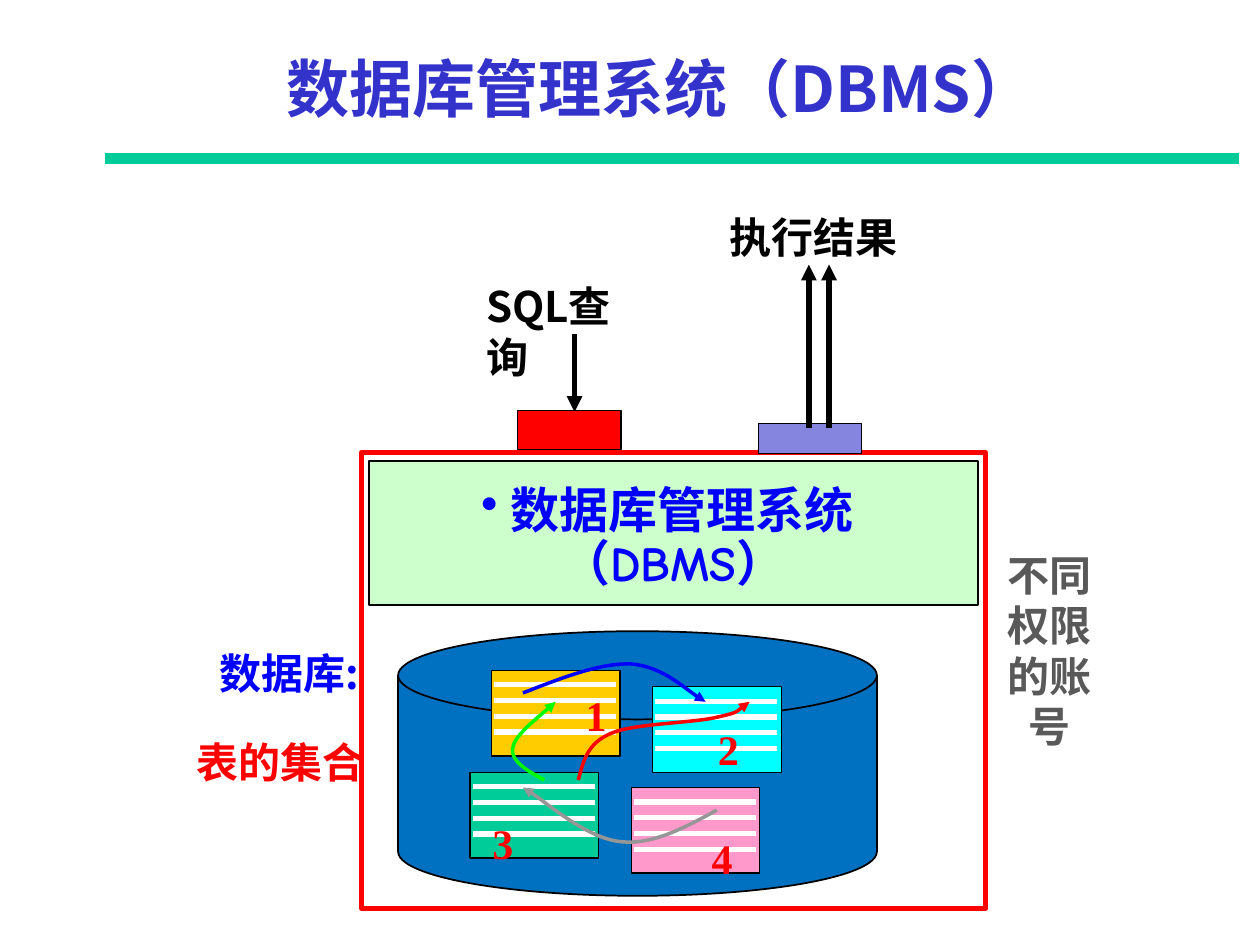
from dataclasses import dataclass

from lxml import etree
from pptx import Presentation
from pptx.dml.color import RGBColor
from pptx.enum.shapes import MSO_CONNECTOR, MSO_SHAPE
from pptx.enum.text import MSO_ANCHOR, MSO_AUTO_SIZE, PP_ALIGN
from pptx.oxml.ns import qn
from pptx.util import Inches, Pt

RECTANGLE = MSO_SHAPE.RECTANGLE
DISK = MSO_SHAPE.FLOWCHART_MAGNETIC_DISK
STRAIGHT = MSO_CONNECTOR.STRAIGHT
LEFT, CENTER = PP_ALIGN.LEFT, PP_ALIGN.CENTER
TOP, MIDDLE = MSO_ANCHOR.TOP, MSO_ANCHOR.MIDDLE
GROW, FIXED = MSO_AUTO_SIZE.SHAPE_TO_FIT_TEXT, MSO_AUTO_SIZE.NONE


@dataclass(frozen=True)
class Theme:
    sans: str = "Noto Sans CJK SC"
    sans_alternate: str = "Noto Sans CJK JP"
    comic: str = "Comic Neue"
    serif: str = "Times New Roman"
    title_size: int = 36
    system_size: int = 28
    label_size: int = 24
    black: str = "000000"
    white: str = "FFFFFF"
    red: str = "FF0000"
    blue: str = "0000FF"
    green: str = "00FF00"
    gray: str = "969696"
    dark_gray: str = "595959"
    title: str = "3333CC"
    teal: str = "00CC99"
    mint: str = "CCFFCC"
    disk: str = "0070C0"
    lavender: str = "8585E0"
    pink: str = "FF99CC"
    yellow: str = "FFCC00"
    cyan: str = "00FFFF"


THEME = Theme()
CARD_SIZE = (1.02, 0.68)
STRIPE_COUNT, STRIPE_GAP, STRIPE_WIDTH = 4, 0.125, 0.97

# Left, top, fill
CARDS = [
    (3.73, 6.13, THEME.teal),
    (5.01, 6.25, THEME.pink),
    (3.90, 5.32, THEME.yellow),
    (5.18, 5.45, THEME.cyan),
]
# Start point followed by three Bézier points per segment
RELATIONS = [
    (THEME.green, [(4.32, 6.19), (4.19, 6.12), (4.05, 6.04), (4.07, 5.94),
                   (4.08, 5.84), (4.35, 5.63), (4.41, 5.57)]),
    (THEME.gray, [(5.69, 6.43), (5.43, 6.57), (5.18, 6.71), (4.92, 6.68),
                  (4.66, 6.65), (4.28, 6.32), (4.15, 6.25)]),
    (THEME.blue, [(4.15, 5.5), (4.46, 5.38), (4.76, 5.26), (5.01, 5.27),
                  (5.25, 5.29), (5.5, 5.52), (5.6, 5.57)]),
    (THEME.red, [(4.59, 6.19), (4.63, 6.04), (4.66, 5.9), (4.85, 5.82),
                 (5.03, 5.74), (5.51, 5.74), (5.7, 5.69),
                 (5.88, 5.65), (5.91, 5.59), (5.95, 5.57)]),
]
CARD_NUMBERS = [("1", 4.55, 5.42), ("2", 5.6, 5.69), ("3", 3.81, 6.44), ("4", 5.55, 6.56)]


def color(value):
    return RGBColor.from_string(value)


def style_line(line, value, width, arrow=False):
    line.color.rgb = color(value)
    line.width = Pt(width)
    if arrow:
        outline = line._get_or_add_ln()
        etree.SubElement(outline, qn("a:tailEnd"), type="triangle")


def add_block(page, kind, left, top, width, height, fill=None, line=THEME.black, line_width=0.75):
    block = page.shapes.add_shape(kind, Inches(left), Inches(top), Inches(width), Inches(height))
    block.shadow.inherit = False
    if fill:
        block.fill.solid()
        block.fill.fore_color.rgb = color(fill)
    else:
        block.fill.background()
    style_line(block.line, line, line_width)
    return block


def add_line(page, start, end, value, width, arrow=False):
    line = page.shapes.add_connector(STRAIGHT, *map(Inches, start + end))
    style_line(line.line, value, width, arrow)
    etree.SubElement(line._element.spPr, qn("a:effectLst"))


def add_curve(page, points, value):
    """Draw an arrow through cubic Bézier segments."""
    start, *rest = [(Inches(x), Inches(y)) for x, y in points]
    builder = page.shapes.build_freeform(*start)
    builder.add_line_segments(rest, close=False)
    curve = builder.convert_to_shape()
    curve.shadow.inherit = False
    curve.fill.background()
    style_line(curve.line, value, 2, arrow=True)
    segments = list(curve._element.iter(qn("a:lnTo")))
    for index in range(0, len(segments), 3):
        bezier = etree.Element(qn("a:cubicBezTo"))
        segments[index].addprevious(bezier)
        for segment in segments[index:index + 3]:
            bezier.append(segment[0])
            segment.getparent().remove(segment)


def write_text(box, text, *, size=THEME.label_size, font=THEME.sans, value=THEME.black,
               align=LEFT, anchor=TOP, fit=GROW, wrap=True, insets=(0.1, 0.05, 0.1, 0.05),
               spacing=None, bullet=None):
    frame = box.text_frame
    frame.word_wrap = wrap
    frame.auto_size = fit
    frame.vertical_anchor = anchor
    (frame.margin_left, frame.margin_top,
     frame.margin_right, frame.margin_bottom) = map(Inches, insets)
    para = frame.paragraphs[0]
    para.alignment = align
    if spacing:
        para.line_spacing = spacing
    if bullet:
        etree.SubElement(para._p.get_or_add_pPr(), qn("a:buChar"), char=bullet)
    span = para.add_run()
    span.text = text
    span.font.name = font
    span.font.size = Pt(size)
    span.font.bold = True
    span.font.color.rgb = color(value)
    east_asian = THEME.sans if font == THEME.comic else font
    etree.SubElement(span._r.get_or_add_rPr(), qn("a:ea"), typeface=east_asian)


def add_label(page, text, left, top, width, height=0.5, **text_format):
    box = page.shapes.add_textbox(Inches(left), Inches(top), Inches(width), Inches(height))
    write_text(box, text, **text_format)


def add_card(page, left, top, fill):
    """Draw one database table as a card with ruled rows."""
    add_block(page, RECTANGLE, left, top, *CARD_SIZE, fill=fill)
    for row in range(STRIPE_COUNT):
        x, y = left + 0.02, top + 0.115 + row * STRIPE_GAP
        add_line(page, (x, y), (x + STRIPE_WIDTH, y), THEME.white, 3)


def add_system(page):
    add_block(page, RECTANGLE, 2.87, 3.59, 4.95, 3.62, line=THEME.red, line_width=3)
    add_line(page, (4.56, 2.65), (4.56, 3.27), THEME.black, 3, arrow=True)
    add_block(page, DISK, 3.16, 5.01, 3.8, 2.1, fill=THEME.disk, line_width=1)
    system = add_block(page, RECTANGLE, 2.93, 3.66, 4.83, 1.14, fill=THEME.mint, line_width=1)
    write_text(system, "数据库管理系统（DBMS）", size=THEME.system_size, font=THEME.comic,
               value=THEME.blue, align=CENTER, fit=FIXED, insets=(0.1, 0.2, 0.1, 0.05),
               spacing=0.9, bullet="•")


def add_database(page):
    add_label(page, "数据库:", 1.38, 5.09, 1.84, value=THEME.blue, align=CENTER,
              insets=(0, 0.05, 0, 0.05))
    for card in CARDS:
        add_card(page, *card)
    for value, points in RELATIONS:
        add_curve(page, points, value)
    for number, left, top in CARD_NUMBERS:
        add_label(page, number, left, top, 0.53, font=THEME.serif, value=THEME.red)
    add_label(page, "表的集合", 1.46, 5.8, 1.72, font=THEME.sans_alternate, value=THEME.red)


def add_query_and_result(page):
    add_block(page, RECTANGLE, 4.11, 3.26, 0.82, 0.31, fill=THEME.red)
    add_label(page, "SQL查询", 3.76, 2.18, 1.37)
    add_block(page, RECTANGLE, 6.02, 3.36, 0.82, 0.24, fill=THEME.lavender)
    for x in (6.58, 6.42):
        add_line(page, (x, 3.4), (x, 2.1), THEME.black, 3, arrow=True)
    add_label(page, "执行结果", 5.69, 1.63, 1.53, wrap=False)


def main():
    deck = Presentation()
    deck.slide_width, deck.slide_height = Inches(10), Inches(7.5)
    page = deck.slides.add_slide(deck.slide_layouts[6])
    add_line(page, (0.83, 1.26), (9.83, 1.26), THEME.teal, 6)
    add_system(page)
    add_database(page)
    add_query_and_result(page)
    add_label(page, "数据库管理系统（DBMS）", 0.67, 0.13, 9.14, 1.12, size=THEME.title_size,
              value=THEME.title, align=CENTER, anchor=MIDDLE, fit=FIXED)
    add_label(page, "不同权限的账号", 7.87, 4.31, 0.92, 1.72, value=THEME.dark_gray,
              align=CENTER, insets=(0, 0.05, 0, 0.05))
    deck.save("out.pptx")


if __name__ == "__main__":
    main()
